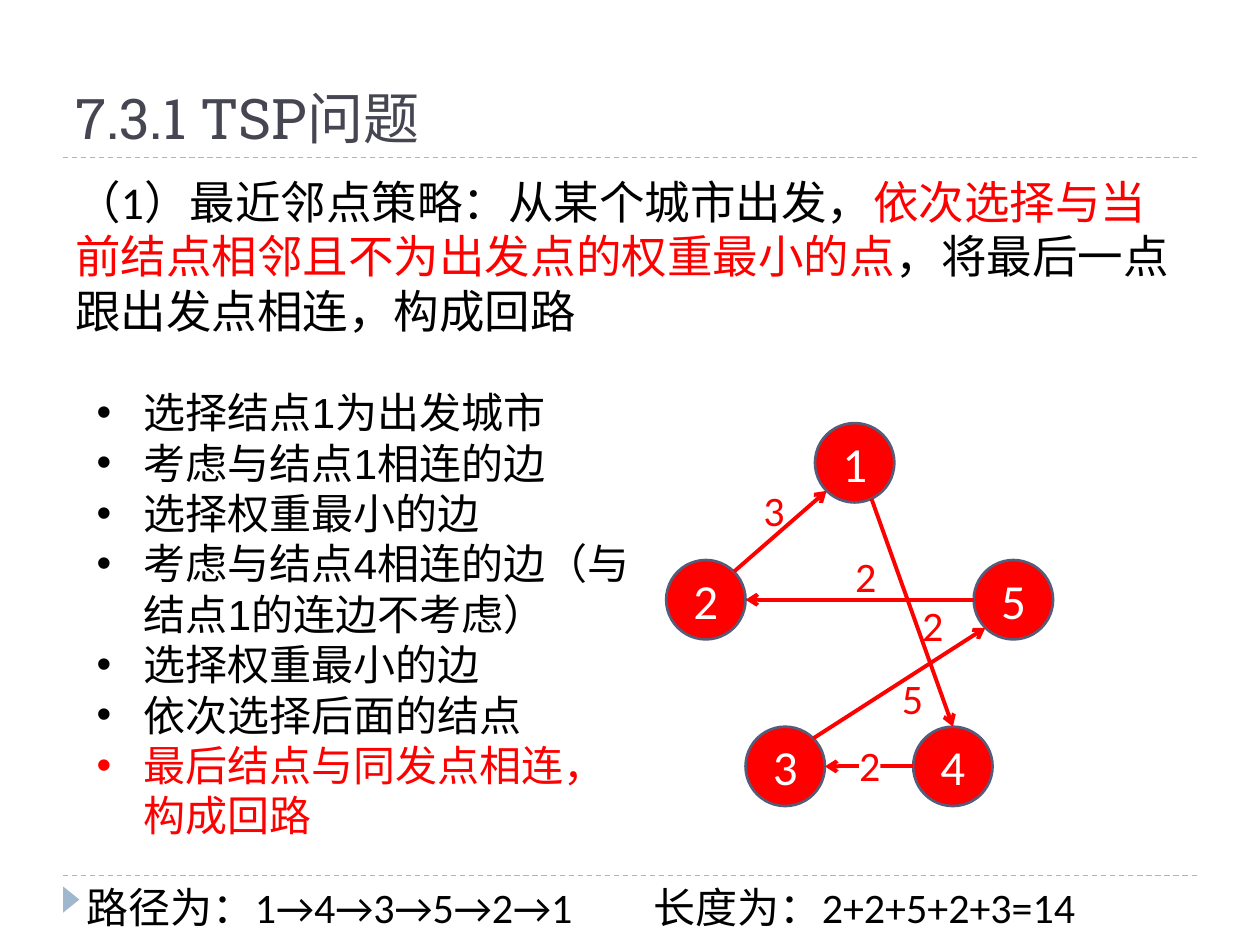
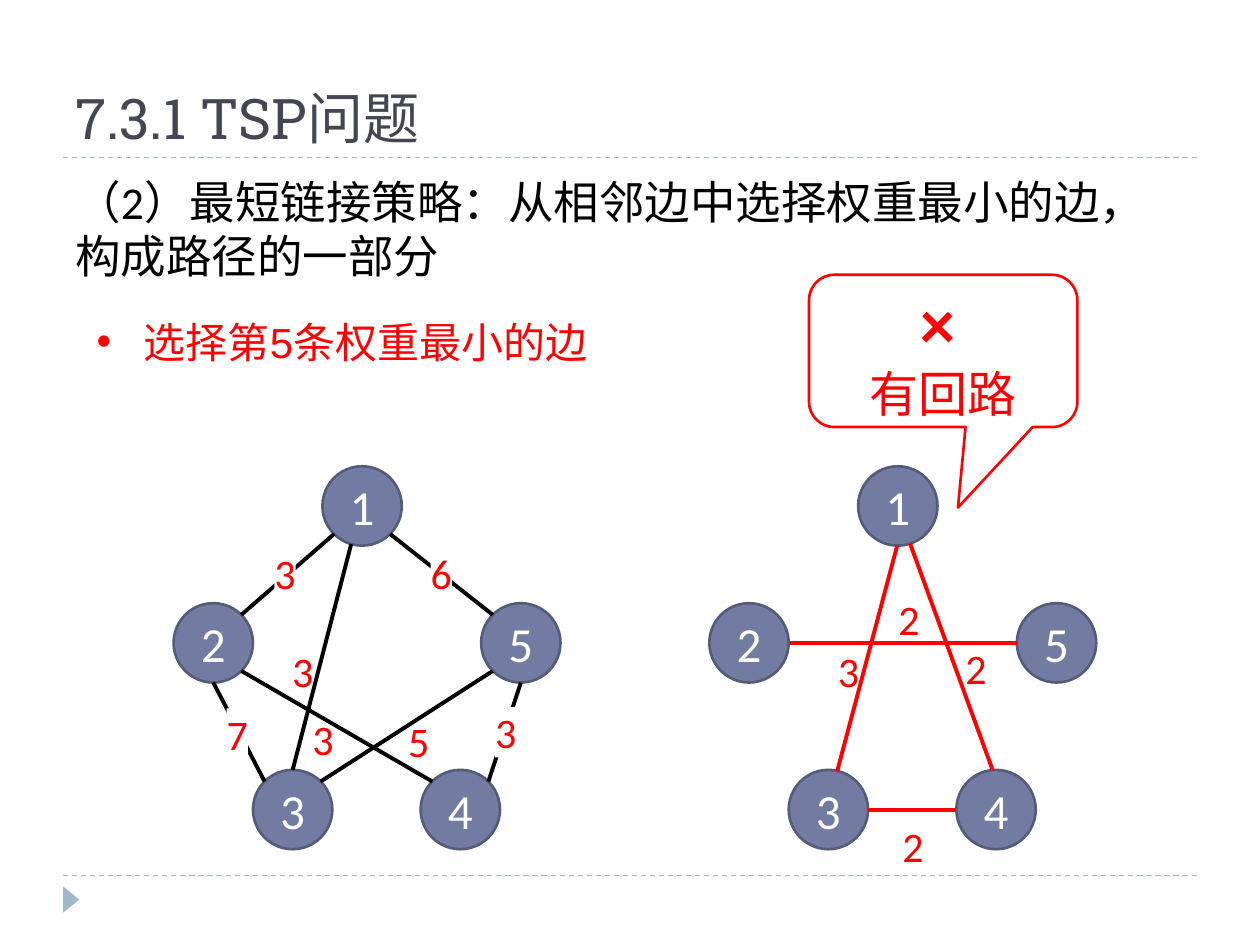
from math import cos, radians, sin

from lxml.etree import SubElement
from pptx import Presentation
from pptx.dml.color import RGBColor
from pptx.enum.dml import MSO_LINE
from pptx.enum.shapes import MSO_CONNECTOR, MSO_SHAPE
from pptx.enum.text import MSO_ANCHOR, PP_ALIGN
from pptx.oxml.ns import qn
from pptx.util import Cm, Pt

# ---- Content ----
COLORS = {"title": "464653", "text": "000000", "red": "FF0000", "white": "FFFFFF",
          "node": "727CA3", "node_line": "545C79", "rule": "9FB8CD"}
TITLE = "7.3.1 TSP问题"
NEAREST = [("（1）最近邻点策略：从某个城市出发，", "text"),
           ("依次选择与当前结点相邻且不为出发点的权重最小的点", "red"),
           ("，将最后一点跟出发点相连，构成回路", "text")]
NEAREST_STEPS = [("选择结点1为出发城市", "text"),
                 ("考虑与结点1相连的边", "text"),
                 ("选择权重最小的边", "text"),
                 ("考虑与结点4相连的边（与结点1的连边不考虑）", "text"),
                 ("选择权重最小的边", "text"),
                 ("依次选择后面的结点", "text"),
                 ("最后结点与同发点相连，构成回路", "red")]
RESULT = "路径为：1→4→3→5→2→1\t\t长度为：2+2+5+2+3=14"
SHORTEST = [("（2）最短链接策略：从相邻边中选择权重最小的边，构成路径的一部分", "text")]
SHORTEST_STEPS = [("选择第5条权重最小的边", "red")]

# Node corners in cm, measured from the corner of node 1
NODE_SIZE = 1.6
NODES = {1: (0, 0), 5: (3.2, 2.76), 2: (-3, 2.76), 3: (-1.4, 6.12), 4: (1.98, 6.12)}

# Clockwise angles on a node's rim
E, SE, S, SW, W, NW, N, NE = range(0, 360, 45)

# Edges: node, angle, node, angle, weight, label place, label hides the line
TOUR = [(1, 65, 4, N, 2, (2.16, 3.56), False),
        (5, W, 2, E, 2, (0.81, 2.57), False),
        (4, W, 3, E, 2, (0.89, 6.38), True),
        (3, NE, 5, SW, 5, (1.75, 5.03), False),
        (2, NE, 1, SW, 3, (-1.04, 1.24), False)]
ALL_EDGES = [(1, SW, 2, NE, 3, (-0.97, 1.63), True),
             (1, 106, 3, N, 3, (-0.61, 3.61), False),
             (1, SE, 5, NW, 6, (2.18, 1.63), True),
             (2, S, 3, NW, 7, (-1.93, 4.88), True),
             (2, SE, 4, NW, 3, (-0.2, 4.98), False),
             (3, NE, 5, SW, 5, (1.73, 5.03), False),
             (4, NE, 5, S, 3, (3.48, 4.85), True)]
CHOSEN = [(1, 72, 4, 265, 2, (2.16, 3.56), False),
          (2, E, 5, W, 2, (0.81, 2.57), False),
          (1, 91, 3, 283, 3, (-0.41, 3.61), False),
          (3, E, 4, W, 2, (0.89, 7.14), True)]


# ---- Helpers ----
def rgb(name):
    return RGBColor.from_string(COLORS[name])


def add_run(para, text, size, color, font="Calibri", bold=False):
    span = para.add_run()
    span.text = text
    span.font.size, span.font.name, span.font.bold = Pt(size), font, bold
    span.font.color.rgb = rgb(color)


def add_box(page, left, top, width, height):
    box = page.shapes.add_textbox(Cm(left), Cm(top), Cm(width), Cm(height))
    box.text_frame.word_wrap = True
    return box


def clear_insets(frame):
    frame.margin_left = frame.margin_right = frame.margin_top = frame.margin_bottom = 0


def add_shape(page, kind, left, top, width, height, fill, line=None):
    shape = page.shapes.add_shape(kind, Cm(left), Cm(top), Cm(width), Cm(height))
    shape.shadow.inherit = False
    shape.fill.solid()
    shape.fill.fore_color.rgb = rgb(fill)
    if line:
        shape.line.color.rgb = rgb(line)
        shape.line.width = Pt(1.5)
    else:
        shape.line.fill.background()
    shape.text_frame.vertical_anchor = MSO_ANCHOR.MIDDLE
    return shape


def add_line(page, start, end, color, width, arrow=False):
    line = page.shapes.add_connector(MSO_CONNECTOR.STRAIGHT,
                                     *(Cm(value) for value in (*start, *end)))
    line.line.color.rgb = rgb(color)
    line.line.width = Pt(width)
    if arrow:
        SubElement(line.line._get_or_add_ln(), qn("a:tailEnd"), type="arrow")
    SubElement(line._element.spPr, qn("a:effectLst"))
    return line


def add_steps(page, steps, top, width, height):
    frame = add_box(page, 1.7, top, width, height).text_frame
    for index, (text, color) in enumerate(steps):
        para = frame.add_paragraph() if index else frame.paragraphs[0]
        add_run(para, text, 24, color, "Arial")
        props = para._p.get_or_add_pPr()
        props.set("marL", str(Cm(0.95)))
        props.set("indent", str(Cm(-0.95)))
        SubElement(props, qn("a:buFont"), typeface="Arial")
        SubElement(props, qn("a:buChar"), char="•")


# ---- Graph ----
def rim_point(origin, node, angle):
    radius = NODE_SIZE / 2
    turns = cos(radians(angle)), sin(radians(angle))
    return [base + offset + radius + radius * turn
            for base, offset, turn in zip(origin, NODES[node], turns)]


def add_graph(page, origin, edges, node_color, edge_color, arrow=False):
    left, top = origin
    for name, (x, y) in NODES.items():
        node = add_shape(page, MSO_SHAPE.OVAL, left + x, top + y, NODE_SIZE, NODE_SIZE,
                         node_color, "node_line")
        clear_insets(node.text_frame)
        para = node.text_frame.paragraphs[0]
        para.alignment = PP_ALIGN.CENTER
        add_run(para, str(name), 28, "white")
    for start, start_angle, end, end_angle, *_ in edges:
        add_line(page, rim_point(origin, start, start_angle),
                 rim_point(origin, end, end_angle), edge_color, 2.25, arrow)
    for *_, weight, (x, y), hides_line in edges:
        label = add_box(page, left + x, top + y, 0.43, 1.02)
        label.text_frame.word_wrap = False
        clear_insets(label.text_frame)
        if hides_line:
            label.fill.solid()
            label.fill.fore_color.rgb = rgb("white")
        add_run(label.text_frame.paragraphs[0], str(weight), 24, "red")


# ---- Shared page frame ----
def add_page(deck, intro):
    page = deck.slides.add_slide(deck.slide_layouts[6])
    for height in (17.65, 3.18):
        rule = add_line(page, (1.27, height), (24.13, height), "rule", 0.75)
        rule.line.dash_style = MSO_LINE.DASH
    marker = add_shape(page, MSO_SHAPE.ISOSCELES_TRIANGLE, 1.17, 17.97, 0.53, 0.33, "rule")
    marker.rotation = 90

    title = add_box(page, 1.27, 0.43, 22.86, 2.74).text_frame
    title.vertical_anchor = MSO_ANCHOR.BOTTOM
    add_run(title.paragraphs[0], TITLE, 32, "title", "Roboto Slab")

    para = add_box(page, 1.27, 3.38, 22.86, 13.72).text_frame.paragraphs[0]
    para.space_before = Pt(6)
    for text, color in intro:
        add_run(para, text, 26, color)
    return page


# ---- Slides ----
def build_nearest(deck):
    page = add_page(deck, NEAREST)
    add_graph(page, (16.43, 8.53), TOUR, "red", "red", arrow=True)
    add_steps(page, NEAREST_STEPS, 7.67, 11.4, 9.5)
    result = add_box(page, 1.5, 17.65, 23.01, 1.27)
    result.text_frame.word_wrap = False
    add_run(result.text_frame.paragraphs[0], RESULT, 24, "text")


def build_shortest(deck):
    page = add_page(deck, SHORTEST)
    add_graph(page, (6.5, 9.4), ALL_EDGES, "node", "text")
    add_graph(page, (17.3, 9.4), CHOSEN, "node", "red")
    add_steps(page, SHORTEST_STEPS, 6.25, 10.52, 1.27)

    callout = add_shape(page, MSO_SHAPE.ROUNDED_RECTANGULAR_CALLOUT,
                        16.31, 5.54, 5.41, 3.07, "white", "red")
    for index, value in enumerate((0.055, 1.029, 0.167)):
        callout.adjustments[index] = value
    frame = callout.text_frame
    cross, reason = frame.paragraphs[0], frame.add_paragraph()
    cross.alignment = reason.alignment = PP_ALIGN.CENTER
    add_run(cross, "×", 40, "red", bold=True)
    add_run(cross, " ", 28, "red")
    add_run(reason, "有回路", 28, "red")


def main():
    deck = Presentation()
    deck.slide_width, deck.slide_height = Cm(25.4), Cm(19.05)
    build_nearest(deck)
    build_shortest(deck)
    deck.save("out.pptx")


if __name__ == "__main__":
    main()
